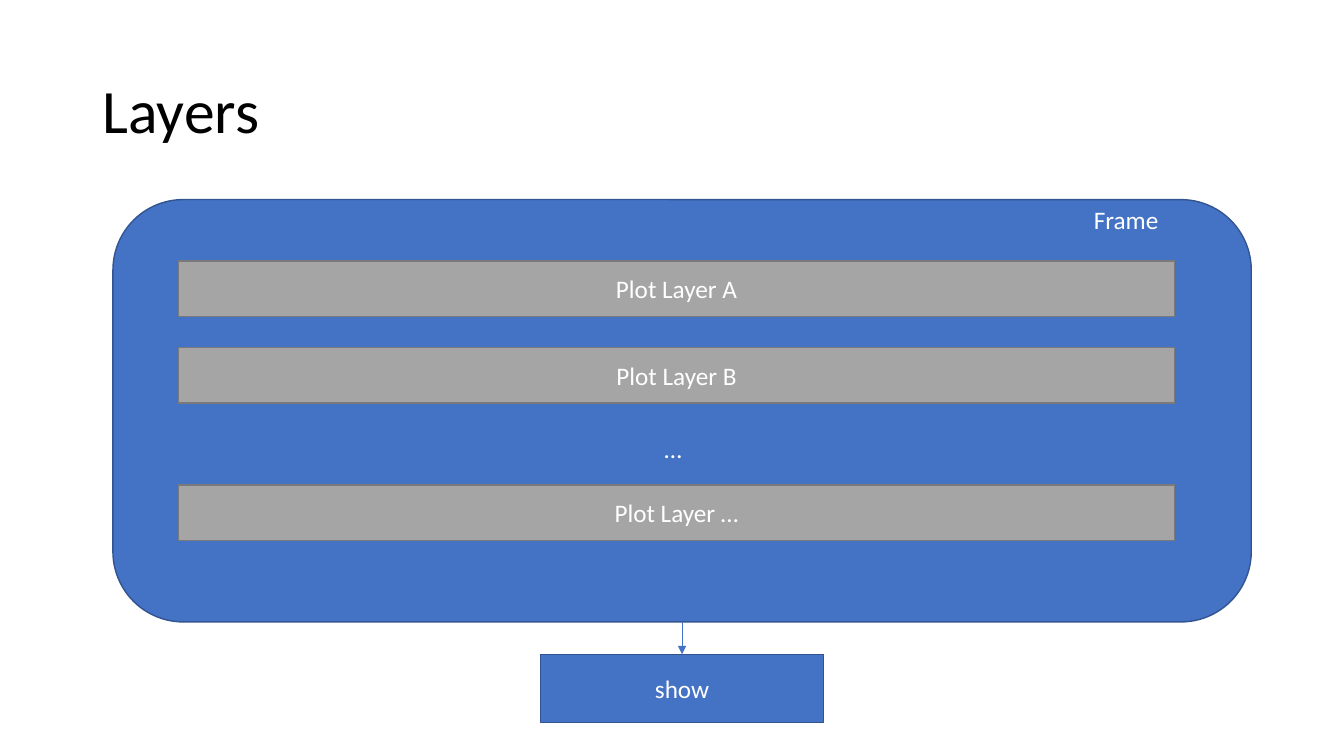
from lxml import etree
from pptx import Presentation
from pptx.dml.color import RGBColor
from pptx.enum import shapes, text
from pptx.oxml import ns
from pptx.util import Inches, Pt

COLORS = {
    "black": "000000",
    "white": "FFFFFF",
    "blue": "4472C4",
    "blue_edge": "325491",
    "gray": "A5A5A5",
    "gray_edge": "7A7A7A",
}
FONT = "Calibri"


def rgb(name):
    return RGBColor.from_string(COLORS[name])


def write(s, words, size=18, color="white", align=text.PP_ALIGN.LEFT,
          anchor=text.MSO_ANCHOR.TOP, spacing=1.0):
    tf = s.text_frame
    tf.word_wrap = True
    tf.vertical_anchor = anchor
    p = tf.paragraphs[0]
    p.alignment = align
    p.line_spacing = spacing
    r = p.add_run()
    r.text = words
    r.font.name = FONT
    r.font.size = Pt(size)
    r.font.color.rgb = rgb(color)


def add_label(sp, box, words, **style):
    s = sp.add_textbox(*map(Inches, box))
    write(s, words, **style)


def add_box(sp, box, color, words=None, kind=shapes.MSO_SHAPE.RECTANGLE):
    s = sp.add_shape(kind, *map(Inches, box))
    s.shadow.inherit = False
    s.fill.solid()
    s.fill.fore_color.rgb = rgb(color)
    s.line.color.rgb = rgb(color + "_edge")
    s.line.width = Pt(1)
    if words:
        write(s, words, align=text.PP_ALIGN.CENTER,
              anchor=text.MSO_ANCHOR.MIDDLE)
    return s


def add_arrow(sp, start, end):
    c = sp.add_connector(shapes.MSO_CONNECTOR.STRAIGHT,
                         *map(Inches, start + end))
    c.line.color.rgb = rgb("blue")
    c.line.width = Pt(0.5)
    etree.SubElement(c.line._get_or_add_ln(), ns.qn("a:tailEnd"),
                     type="triangle")
    etree.SubElement(c._element.spPr, ns.qn("a:effectLst"))


def add_title(sp, box):
    add_label(sp, box, "Layers", size=44, color="black",
              anchor=text.MSO_ANCHOR.MIDDLE, spacing=0.9)


def add_frame(sp, box):
    x, y, w, h = box
    add_box(sp, box, "blue", kind=shapes.MSO_SHAPE.ROUNDED_RECTANGLE)
    add_label(sp, (x + w - 1.66, y, 0.97, 0.4), "Frame")

    # Stacked layers, with an ellipsis in the gap before the last
    layers = {"A": 0.61, "B": 1.47, "…": 2.83}
    for name, top in layers.items():
        add_box(sp, (x + 0.65, y + top, 9.88, 0.55), "gray",
                f"Plot Layer {name}")
    add_label(sp, (x + 5.37, y + 2.27, 0.36, 0.4), "…")


def add_output(sp, frame, gap=0.32, width=2.81, height=0.68):
    x, y, w, h = frame
    center, bottom = x + w / 2, y + h
    add_box(sp, (center - width / 2, bottom + gap, width, height),
            "blue", "show")
    add_arrow(sp, (center, bottom), (center, bottom + gap))


def main():
    prs = Presentation()
    prs.slide_width, prs.slide_height = Inches(13.33), Inches(7.5)
    sp = prs.slides.add_slide(prs.slide_layouts[6]).shapes
    frame = (1.12, 1.98, 11.29, 4.19)
    add_title(sp, (0.92, 0.4, 11.5, 1.45))
    add_frame(sp, frame)
    add_output(sp, frame)
    prs.save("out.pptx")


if __name__ == "__main__":
    main()
